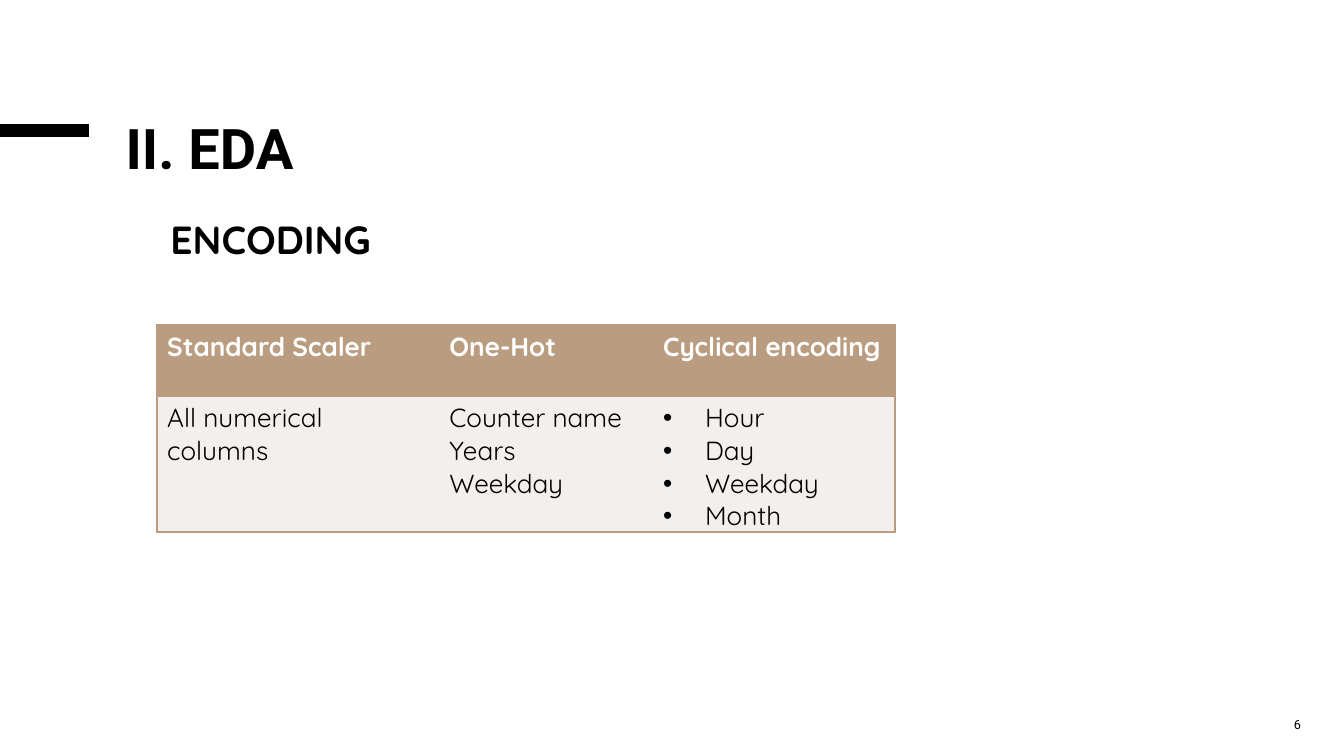
from dataclasses import dataclass

from lxml import etree
from pptx import Presentation
from pptx.dml.color import RGBColor
from pptx.enum.shapes import MSO_CONNECTOR
from pptx.enum.text import MSO_ANCHOR, PP_ALIGN
from pptx.oxml.ns import qn
from pptx.slide import Slide
from pptx.table import _Cell
from pptx.text.text import TextFrame, _Paragraph
from pptx.util import Pt

STRAIGHT = MSO_CONNECTOR.STRAIGHT
TOP, MIDDLE = MSO_ANCHOR.TOP, MSO_ANCHOR.MIDDLE
LEFT, RIGHT = PP_ALIGN.LEFT, PP_ALIGN.RIGHT

BLACK = RGBColor(0x00, 0x00, 0x00)
WHITE = RGBColor(0xFF, 0xFF, 0xFF)
TAN = RGBColor(0xBA, 0x9C, 0x80)
PALE = RGBColor(0xF3, 0xEF, 0xED)

INSET_X, INSET_Y = Pt(5.4), Pt(2.7)
BULLET_INDENT = Pt(22.5)
HEADER_HEIGHT, BODY_HEIGHT = Pt(38.2), Pt(69.8)


@dataclass(frozen=True)
class TextStyle:
    font: str
    size: float
    color: RGBColor
    bold: bool = False


@dataclass(frozen=True)
class EncodingColumn:
    heading: str
    entries: tuple[str, ...]
    width: float
    bulleted: bool = False


TITLE = TextStyle("Roboto", 30, BLACK, True)
SUBTITLE = TextStyle("Quicksand", 21, BLACK, True)
HEADING = TextStyle("Quicksand", 14, WHITE, True)
ENTRY = TextStyle("Quicksand", 14, BLACK)
PAGE_NUMBER = TextStyle("Roboto", 6.8, BLACK)

COLUMNS = (
    EncodingColumn("Standard Scaler", ("All numerical columns",), 151.2),
    EncodingColumn("One-Hot", ("Counter name", "Years", "Weekday"), 114.5),
    EncodingColumn("Cyclical encoding", ("Hour", "Day", "Weekday", "Month"), 129.6, True),
)


def add_bullet(paragraph: _Paragraph) -> None:
    properties = paragraph._p.get_or_add_pPr()
    properties.set("marL", str(BULLET_INDENT))
    properties.set("indent", str(-BULLET_INDENT))
    etree.SubElement(properties, qn("a:buFont"), typeface="Arial")
    etree.SubElement(properties, qn("a:buChar"), char="•")


def write(frame: TextFrame, text: str, style: TextStyle, bulleted: bool = False) -> None:
    frame.text = text
    for paragraph in frame.paragraphs:
        if bulleted:
            add_bullet(paragraph)
        for run in paragraph.runs:
            run.font.name = style.font
            run.font.size = Pt(style.size)
            run.font.bold = style.bold
            run.font.color.rgb = style.color


def set_borders(cell: _Cell, visible_sides: str) -> None:
    """Draw the sides named by L, R, T and B; hide the others."""
    properties = cell._tc.get_or_add_tcPr()
    for side in "LRTB":
        line = etree.SubElement(properties, qn(f"a:ln{side}"), w=str(Pt(1)))
        if side in visible_sides:
            fill = etree.SubElement(line, qn("a:solidFill"))
            etree.SubElement(fill, qn("a:srgbClr"), val=str(TAN))
        else:
            etree.SubElement(line, qn("a:noFill"))


def fill_cell(cell: _Cell, text: str, style: TextStyle, background: RGBColor,
              borders: str, bulleted: bool = False) -> None:
    cell.margin_left = cell.margin_right = INSET_X
    cell.margin_top = cell.margin_bottom = INSET_Y
    set_borders(cell, borders)
    cell.fill.solid()
    cell.fill.fore_color.rgb = background
    write(cell.text_frame, text, style, bulleted)


def add_accent_bar(slide: Slide) -> None:
    bar = slide.shapes.add_connector(STRAIGHT, Pt(0), Pt(69.8), Pt(47.5), Pt(69.8))
    bar.line.color.rgb = BLACK
    bar.line.width = Pt(6.75)
    etree.SubElement(bar._element.spPr, qn("a:effectLst"))


def add_title(slide: Slide) -> None:
    title = slide.shapes.title
    title.left, title.top, title.width, title.height = Pt(61.9), Pt(63.4), Pt(588), Pt(40.3)
    frame = title.text_frame
    frame.margin_left = frame.margin_right = INSET_X
    frame.margin_top = frame.margin_bottom = INSET_Y
    frame.vertical_anchor = TOP
    write(frame, "II. EDA", TITLE)
    frame.paragraphs[0].alignment = LEFT
    frame.paragraphs[0].line_spacing = 0.85


def add_subtitle(slide: Slide) -> None:
    box = slide.shapes.add_textbox(Pt(84.2), Pt(111.6), Pt(129.6), Pt(87))
    box.text_frame.word_wrap = False
    write(box.text_frame, "ENCODING", SUBTITLE)


def add_encoding_table(slide: Slide) -> None:
    total_width = Pt(sum(column.width for column in COLUMNS))
    table = slide.shapes.add_table(2, len(COLUMNS), Pt(84.2), Pt(174.2), total_width,
                                   HEADER_HEIGHT + BODY_HEIGHT).table
    table.rows[0].height, table.rows[1].height = HEADER_HEIGHT, BODY_HEIGHT
    for index, column in enumerate(COLUMNS):
        table.columns[index].width = Pt(column.width)
        borders = "TB"
        if index == 0:
            borders += "L"
        if index == len(COLUMNS) - 1:
            borders += "R"
        fill_cell(table.cell(0, index), column.heading, HEADING, TAN, borders)
        fill_cell(table.cell(1, index), "\n".join(column.entries), ENTRY, PALE, borders,
                  column.bulleted)


def add_page_number(slide: Slide) -> None:
    box = slide.shapes.add_textbox(Pt(648.7), Pt(377.3), Pt(55.4), Pt(21.6))
    box.text_frame.word_wrap = True
    box.text_frame.vertical_anchor = MIDDLE
    write(box.text_frame, "6", PAGE_NUMBER)
    box.text_frame.paragraphs[0].alignment = RIGHT


def main() -> None:
    presentation = Presentation()
    presentation.slide_width, presentation.slide_height = Pt(720), Pt(405)
    slide = presentation.slides.add_slide(presentation.slide_layouts[5])
    add_accent_bar(slide)
    add_title(slide)
    add_subtitle(slide)
    add_encoding_table(slide)
    add_page_number(slide)
    presentation.save("out.pptx")


if __name__ == "__main__":
    main()
